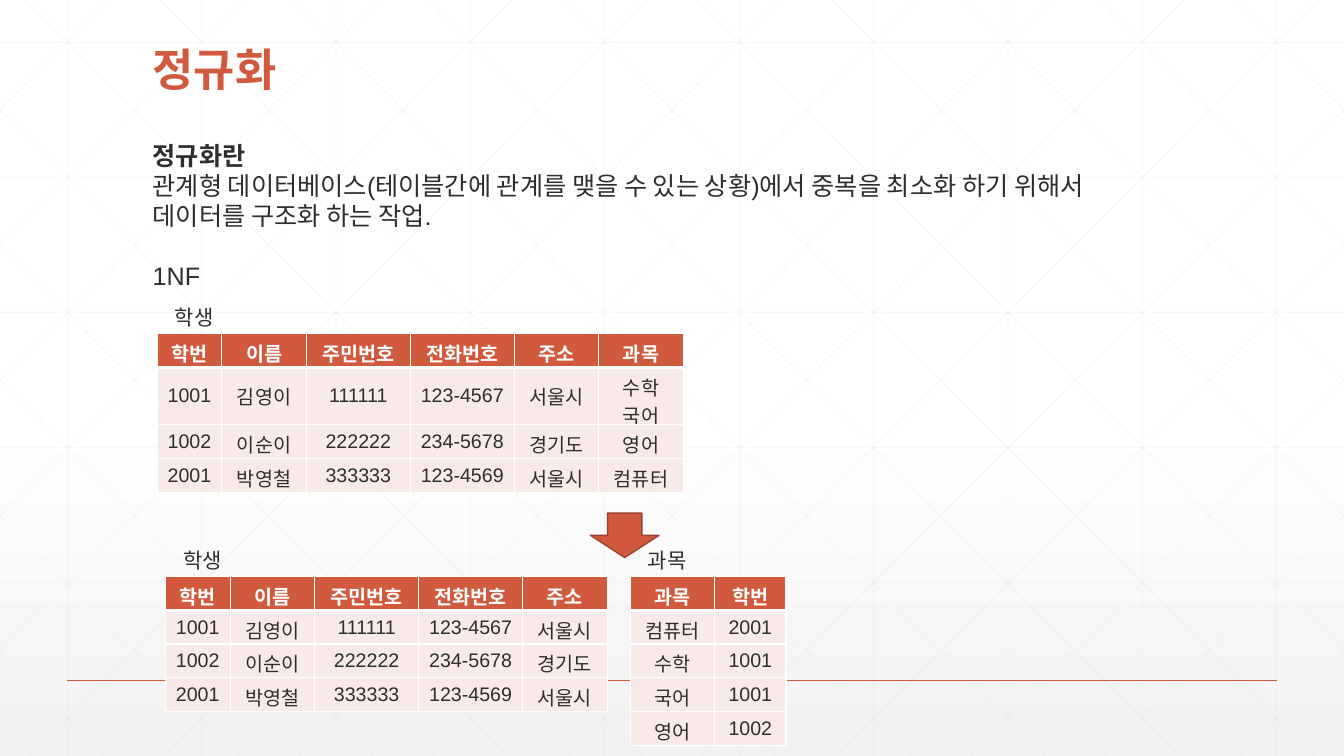
from lxml import etree
from pptx import Presentation
from pptx.dml.color import RGBColor
from pptx.enum import shapes, text
from pptx.oxml import ns, parse_xml
from pptx.util import Cm, Pt

TITLE = "정규화"
# text, bold, space before in points
BODY = [
    ("정규화란", True, 0),
    ("관계형 데이터베이스(테이블간에 관계를 맺을 수 있는 상황)에서 중복을 최소화 하기 위해서", False, 0),
    ("데이터를 구조화 하는 작업.", False, 0),
    ("1NF", False, 21.5),
]
PEOPLE = [
    ("학번", "이름", "주민번호", "전화번호", "주소"),
    ("1001", "김영이", "111111", "123-4567", "서울시"),
    ("1002", "이순이", "222222", "234-5678", "경기도"),
    ("2001", "박영철", "333333", "123-4569", "서울시"),
]
TAKEN = ["과목", "수학\n국어", "영어", "컴퓨터"]
COURSES = [("과목", "학번"), ("컴퓨터", "2001"), ("수학", "1001"),
           ("국어", "1001"), ("영어", "1002")]
WIDTHS = {"학번": 1.63, "이름": 2.13, "주민번호": 2.62,
          "전화번호": 2.62, "주소": 2.13, "과목": 2.13}
# label, rows, left, top, width of each column
TABLES = [
    ("학생", [row + (name,) for row, name in zip(PEOPLE, TAKEN)], 3.96, 8.41,
     [WIDTHS[head] for head in PEOPLE[0] + ("과목",)]),
    ("학생", PEOPLE, 4.17, 14.53, [WIDTHS[head] for head in PEOPLE[0]]),
    ("과목", COURSES, 15.88, 14.53, [2.13, 1.8]),
]
THEME = dict(font="Arial", accent="D15A3E", edge="9B432E", ink="2D2E2D",
             pale="F7EAE8", white="FFFFFF", grid="D9D9D9",
             title=32, body=18, label=15, cell=14)
WIDE, HIGH = 33.87, 19.05
PITCH = WIDE / 10
RUN = 18.93  # sideways reach of a full-height diagonal
ROW, LINE = 0.85, 0.57


def color(name):
    """Return a theme colour."""
    return RGBColor.from_string(THEME[name])


def style(par, size, ink="ink", bold=False):
    """Set the font of a paragraph."""
    font = par.font
    font.name, font.size, font.bold = THEME["font"], Pt(THEME[size]), bold
    font.color.rgb = color(ink)


def backdrop(slide):
    """Fill the background with a vertical gradient."""
    fill = slide.background.fill
    fill.gradient()
    fill.gradient_angle = 270
    stops = slide.background._cSld.find(".//" + ns.qn("a:gsLst"))
    stops.getparent().replace(stops, parse_xml(
        f'<a:gsLst {ns.nsdecls("a")}>'
        '<a:gs pos="0"><a:srgbClr val="FFFFFF"/></a:gs>'
        '<a:gs pos="53000"><a:srgbClr val="FFFFFF"/></a:gs>'
        '<a:gs pos="100000"><a:srgbClr val="F2F2F2">'
        '<a:alpha val="65000"/></a:srgbClr></a:gs></a:gsLst>'))


def rule(slide, start, end, ink="grid", width=0.5, alpha=25):
    """Draw a straight line between two points."""
    line = slide.shapes.add_connector(
        shapes.MSO_CONNECTOR.STRAIGHT, *map(Cm, start + end))
    line.line.color.rgb = color(ink)
    line.line.width = Pt(width)
    props = line._element.spPr
    tint = props.find(".//" + ns.qn("a:srgbClr"))
    etree.SubElement(tint, ns.qn("a:alpha"), val=str(alpha * 1000))
    etree.SubElement(props, ns.qn("a:effectLst"))


def lattice(slide):
    """Draw the upright, level and diagonal grid lines."""
    for i in range(10):
        x = (i + 0.5) * PITCH
        rule(slide, (x, 0), (x, HIGH))
    for i in range(6):
        y = 1.07 + 3.4 * i
        rule(slide, (0, y), (WIDE, y))
    for i in range(-5, 10):
        x = 0.64 + i * PITCH
        left, right = max(x, 0), min(x + RUN, WIDE)
        top, foot = [(end - x) * HIGH / RUN for end in (left, right)]
        rule(slide, (left, top), (right, foot))
        rule(slide, (WIDE - left, top), (WIDE - right, foot))


def write(slide, box, lines, size, ink="ink", wrap=True, low=False):
    """Add a text box holding lines of (text, bold, space before)."""
    frame = slide.shapes.add_textbox(*map(Cm, box)).text_frame
    frame.word_wrap = wrap
    if low:
        frame.vertical_anchor = text.MSO_ANCHOR.BOTTOM
    for i, (words, bold, gap) in enumerate(lines):
        par = frame.add_paragraph() if i else frame.paragraphs[0]
        par.text = words
        par.space_before = Pt(gap)
        style(par, size, ink, bold)
    return frame


def border(cell, head):
    """Give a cell white borders, thick below a heading."""
    props = cell._tc.get_or_add_tcPr()
    for i, side in enumerate(("lnL", "lnR", "lnT", "lnB")):
        width = Pt(3 if head and side == "lnB" else 1)
        props.insert(i, parse_xml(
            f'<a:{side} {ns.nsdecls("a")} w="{width}"><a:solidFill>'
            f'<a:srgbClr val="{THEME["white"]}"/></a:solidFill></a:{side}>'))


def grid(slide, label, rows, left, top, widths):
    """Add a table with its label above."""
    highs = [ROW + LINE * max(name.count("\n") for name in row) for row in rows]
    table = slide.shapes.add_table(
        len(rows), len(widths), Cm(left), Cm(top),
        Cm(sum(widths)), Cm(sum(highs))).table
    for col, width in zip(table.columns, widths):
        col.width = Cm(width)
    for r, (row, high) in enumerate(zip(rows, highs)):
        table.rows[r].height = Cm(high)
        head = r == 0
        for c, words in enumerate(row):
            cell = table.cell(r, c)
            cell.text = words
            cell.vertical_anchor = text.MSO_ANCHOR.MIDDLE
            cell.margin_left = cell.margin_right = Cm(0.1)
            cell.fill.solid()
            cell.fill.fore_color.rgb = color("accent" if head else "pale")
            border(cell, head)
            for par in cell.text_frame.paragraphs:
                par.alignment = text.PP_ALIGN.CENTER
                style(par, "cell", "white" if head else "ink", head)
    write(slide, (left + 0.2, top - 0.85, 1.57, 0.89),
          [(label, False, 0)], "label", wrap=False)


def arrow(slide):
    """Add the arrow that leads to the split tables."""
    shape = slide.shapes.add_shape(
        shapes.MSO_SHAPE.DOWN_ARROW, Cm(14.88), Cm(12.93), Cm(1.73), Cm(1.12))
    shape.shadow.inherit = False
    shape.fill.solid()
    shape.fill.fore_color.rgb = color("accent")
    shape.line.color.rgb = color("edge")
    shape.line.width = Pt(1)


def main():
    """Build and save the slide."""
    deck = Presentation()
    deck.slide_width, deck.slide_height = Cm(WIDE), Cm(HIGH)
    slide = deck.slides.add_slide(deck.slide_layouts[6])
    backdrop(slide)
    lattice(slide)
    rule(slide, (PITCH / 2, 17.14), (WIDE - PITCH / 2, 17.14), "accent", 1, 100)
    head = write(slide, (3.6, 1, 26.67, 1.55), [(TITLE, True, 0)],
                 "title", "accent", low=True)
    head.paragraphs[0].line_spacing = 0.9
    write(slide, (3.6, 3.4, 29.39, 4.11), BODY, "body")
    for item in TABLES:
        grid(slide, *item)
    arrow(slide)
    deck.save("out.pptx")


main()
